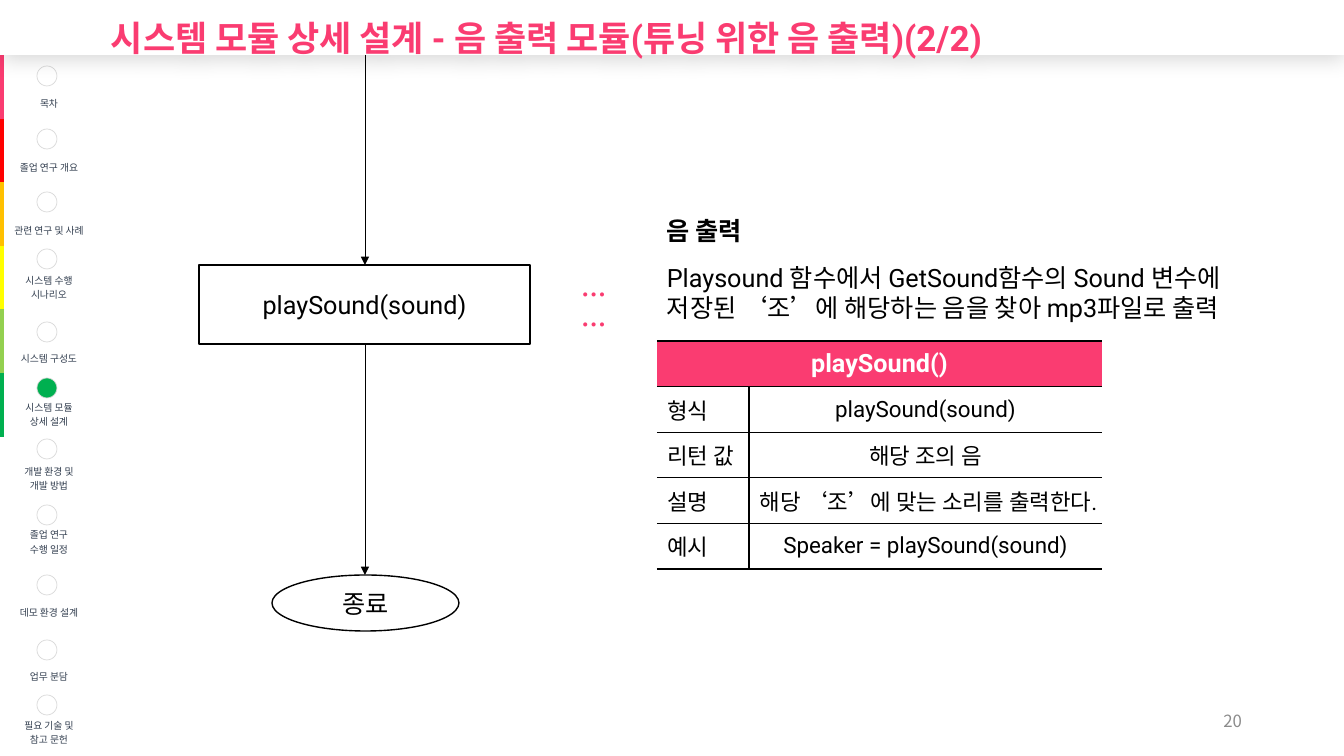
from lxml import etree
from pptx import Presentation
from pptx import util as u
from pptx.dml.color import RGBColor
from pptx.enum import shapes, text
from pptx.oxml.ns import qn

PX = 914400 / 100.8
LATIN, KOREAN = "Roboto", "Noto Sans CJK KR"
PINK = RGBColor(0xFA, 0x3C, 0x71)
RED = RGBColor(0xFF, 0x00, 0x00)
ORANGE = RGBColor(0xFF, 0xC0, 0x00)
YELLOW = RGBColor(0xFF, 0xFF, 0x00)
LIME = RGBColor(0x93, 0xD0, 0x50)
GREEN = RGBColor(0x00, 0xB0, 0x50)
WHITE = RGBColor(0xFF, 0xFF, 0xFF)
BLACK = RGBColor(0x00, 0x00, 0x00)
SLATE = RGBColor(0x33, 0x3F, 0x50)
GREY = RGBColor(0x8C, 0x8C, 0x8C)
PALE = RGBColor(0xD9, 0xD9, 0xD9)

# label, circle top, stripe colour
CHAPTERS = [
    ("목차", 66, PINK),
    ("졸업 연구 개요", 129, RED),
    ("관련 연구 및 사례", 192, ORANGE),
    ("시스템 수행\n시나리오", 249, YELLOW),
    ("시스템 구성도", 322, LIME),
    ("시스템 모듈\n상세 설계", 378, GREEN),
    ("개발 환경 및\n개발 방법", 439, WHITE),
    ("졸업 연구\n수행 일정", 505, WHITE),
    ("데모 환경 설계", 575, WHITE),
    ("업무 분담", 640, WHITE),
    ("필요 기술 및\n참고 문헌", 695, WHITE),
]
CURRENT = 5
FUNCTION_ROWS = [
    ("형식", "playSound(sound)"),
    ("리턴 값", "해당 조의 음"),
    ("설명", "해당 ‘조’에 맞는 소리를 출력한다."),
    ("예시", "Speaker = playSound(sound)"),
]


def px(*lengths):
    return [u.Emu(round(length * PX)) for length in lengths]


def write(frame, words, size=18, color=BLACK, bold=False, font=LATIN,
          align=text.PP_ALIGN.LEFT, anchor=None, first=True):
    """Write one paragraph per line of words; first=False adds to the frame."""
    if anchor is not None:
        frame.vertical_anchor = anchor
    for line in words.split("\n"):
        para = frame.paragraphs[0] if first else frame.add_paragraph()
        first = False
        para.alignment = align
        span = para.add_run()
        span.text = line
        span.font.size = u.Pt(size)
        span.font.bold = bold
        span.font.color.rgb = color
        span.font.name = font
        etree.SubElement(span.font._element, qn("a:ea"), typeface=KOREAN)


def add_text_box(page, bounds, words, **style):
    box = page.shapes.add_textbox(*px(*bounds))
    box.text_frame.word_wrap = True
    write(box.text_frame, words, **style)
    return box


def add_node(page, kind, bounds, words="", fill=WHITE, line=BLACK, weight=1):
    node = page.shapes.add_shape(kind, *px(*bounds))
    node.shadow.inherit = False
    node.fill.solid()
    node.fill.fore_color.rgb = fill
    node.line.color.rgb = line
    node.line.width = u.Pt(weight)
    if words:
        write(node.text_frame, words, align=text.PP_ALIGN.CENTER,
              anchor=text.MSO_ANCHOR.MIDDLE)


def add_arrow(page, x, top, bottom):
    arrow = page.shapes.add_connector(
        shapes.MSO_CONNECTOR.STRAIGHT, *px(x, top, x, bottom))
    arrow.line.color.rgb = BLACK
    arrow.line.width = u.Pt(0.5)
    etree.SubElement(arrow.line._get_or_add_ln(), qn("a:tailEnd"), type="triangle")
    etree.SubElement(arrow._element.spPr, qn("a:effectLst"))


def add_plain_table(page, bounds, widths, row_count):
    """Add a table without banding, grid or style fills."""
    frame = page.shapes.add_table(row_count, len(widths), *px(*bounds))
    table = frame.table
    table.first_row = table.horz_banding = False
    style = next(frame._element.iter(qn("a:tableStyleId")))
    style.text = "{2D5ABB26-0587-4C30-8999-92F81FD0307C}"
    for column, width in zip(table.columns, px(*widths)):
        column.width = width
    return table


def fill_cell(cell, color):
    cell.fill.solid()
    cell.fill.fore_color.rgb = color


def add_borders(cell, sides):
    for side in sides:
        line = etree.SubElement(cell._tc.get_or_add_tcPr(), qn("a:ln" + side), w="12700")
        fill = etree.SubElement(line, qn("a:solidFill"))
        etree.SubElement(fill, qn("a:srgbClr"), val=str(BLACK))


def add_sidebar(page):
    table = add_plain_table(page, (-1, 55, 95, 700), (5, 90), len(CHAPTERS))
    for row, (label, top, color) in enumerate(CHAPTERS):
        stripe, name = table.cell(row, 0), table.cell(row, 1)
        for cell in (stripe, name):
            cell.margin_left = cell.margin_right = cell.margin_top = 0
            cell.margin_bottom = u.Inches(0.08)
        fill_cell(stripe, color)
        fill_cell(name, WHITE)
        name.vertical_anchor = text.MSO_ANCHOR.BOTTOM
        write(name.text_frame, label, size=7, color=SLATE, align=text.PP_ALIGN.CENTER)
        add_node(page, shapes.MSO_SHAPE.OVAL, (37, top, 20, 20), line=PALE,
                 weight=0.5, fill=GREEN if row == CURRENT else WHITE)


def add_title_bar(page, words):
    bar = page.shapes.title
    bar.left, bar.top, bar.width, bar.height = px(0, 0, 1344, 55)
    bar.fill.solid()
    bar.fill.fore_color.rgb = WHITE
    effects = etree.SubElement(bar._element.spPr, qn("a:effectLst"))
    shadow = etree.SubElement(
        effects, qn("a:outerShdw"), blurRad=str(u.Pt(15)), dist=str(u.Pt(3)),
        dir="5400000", algn="t", rotWithShape="0")
    tint = etree.SubElement(shadow, qn("a:srgbClr"), val=str(BLACK))
    etree.SubElement(tint, qn("a:alpha"), val="15000")
    frame = bar.text_frame
    frame.auto_size = text.MSO_AUTO_SIZE.NONE
    write(frame, words, size=25, color=PINK, bold=True, anchor=text.MSO_ANCHOR.MIDDLE)
    para = frame.paragraphs[0]
    para.line_spacing = 1.5
    para._p.get_or_add_pPr().set("marL", str(u.Inches(1)))
    page.shapes._spTree.append(bar._element)  # above the sidebar


def add_function_table(page):
    table = add_plain_table(page, (657, 341, 445, 228), (92, 353), len(FUNCTION_ROWS) + 1)
    middle, center = text.MSO_ANCHOR.MIDDLE, text.PP_ALIGN.CENTER
    header = table.cell(0, 0)
    header.merge(table.cell(0, 1))
    for cell in (header, table.cell(0, 1)):
        add_borders(cell, "TB")
    fill_cell(header, PINK)
    header.vertical_anchor = middle
    write(header.text_frame, "playSound()", color=WHITE, bold=True, align=center)
    for row, (label, value) in enumerate(FUNCTION_ROWS, 1):
        name, detail = table.cell(row, 0), table.cell(row, 1)
        add_borders(name, "RTB")
        add_borders(detail, "LTB")
        for cell in (name, detail):
            cell.fill.background()
            cell.vertical_anchor = middle
        write(name.text_frame, label, size=16)
        write(detail.text_frame, value, size=16, align=center)


def main():
    deck = Presentation()
    deck.slide_width, deck.slide_height = px(1344, 756)
    page = deck.slides.add_slide(deck.slide_layouts[5])

    add_text_box(page, (950, 701, 302, 40), "20", size=12, color=GREY, font=KOREAN,
                 align=text.PP_ALIGN.RIGHT, anchor=text.MSO_ANCHOR.MIDDLE)
    add_sidebar(page)
    add_title_bar(page, "시스템 모듈 상세 설계 - 음 출력 모듈(튜닝 위한 음 출력)(2/2)")

    add_node(page, shapes.MSO_SHAPE.FLOWCHART_PROCESS, (199, 265, 331, 79), "playSound(sound)")
    add_arrow(page, 365, 55, 265)
    add_arrow(page, 365, 344, 575)
    add_node(page, shapes.MSO_SHAPE.OVAL, (272, 575, 187, 56), "종료")

    summary = add_text_box(page, (657, 210, 649, 119), "음 출력", bold=True)
    write(summary.text_frame, "Playsound 함수에서 GetSound함수의 Sound 변수에\n"
          "저장된 ‘조’에 해당하는 음을 찾아 mp3파일로 출력", first=False)
    summary.text_frame.paragraphs[1].space_before = u.Pt(12)
    add_text_box(page, (572, 274, 65, 40), "……", color=PINK, bold=True, font=KOREAN)
    add_function_table(page)
    deck.save("out.pptx")


if __name__ == "__main__":
    main()
